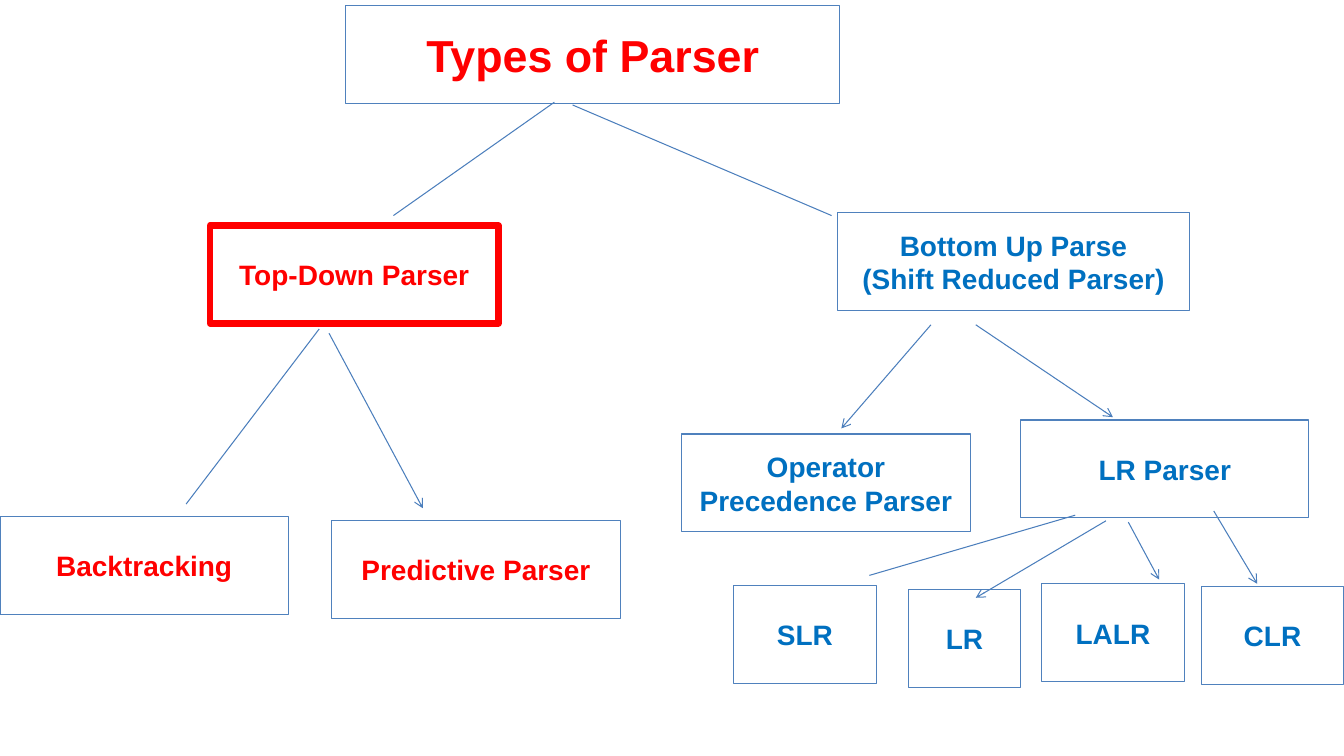
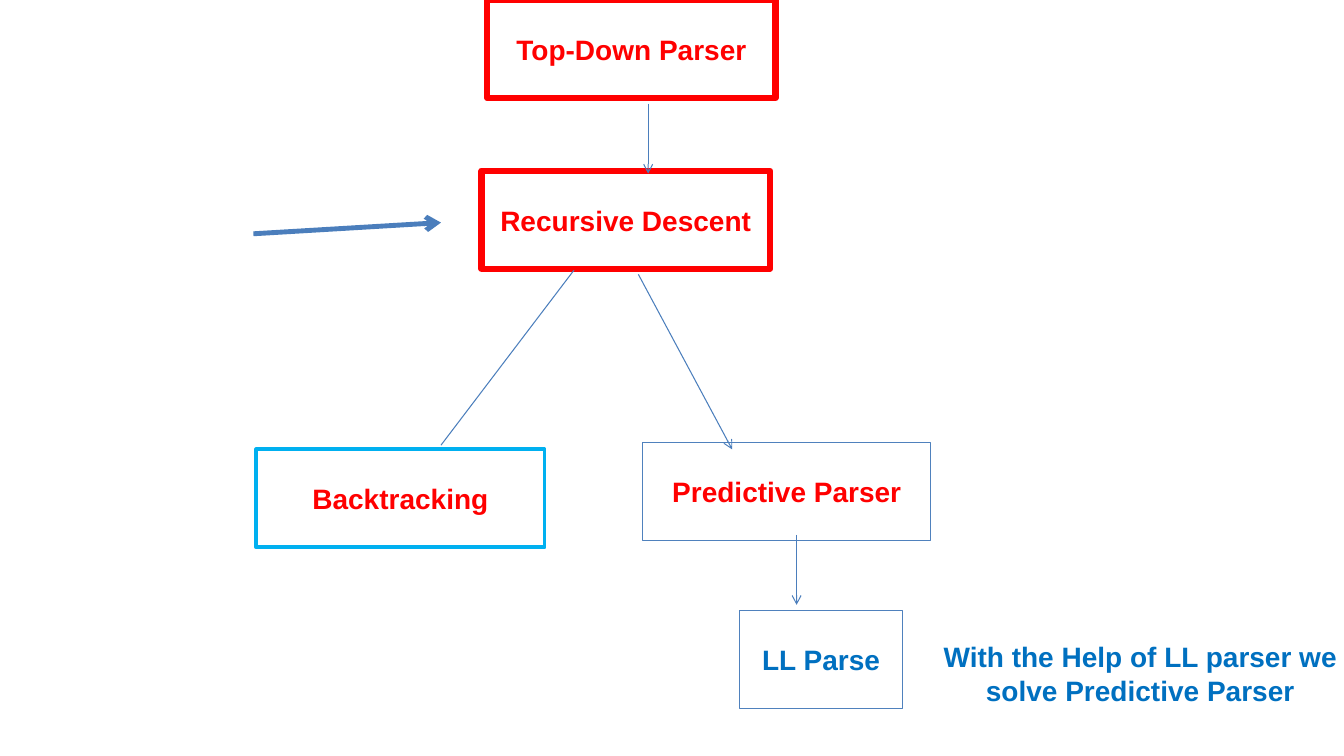
from lxml.etree import SubElement
from pptx import Presentation
from pptx.dml.color import RGBColor
from pptx.enum.shapes import MSO_CONNECTOR, MSO_SHAPE
from pptx.enum.text import MSO_ANCHOR, PP_ALIGN
from pptx.oxml.ns import qn
from pptx.util import Pt

RED = RGBColor(0xFF, 0x00, 0x00)
BLUE = RGBColor(0x00, 0x70, 0xC0)
SKY = RGBColor(0x00, 0xB0, 0xF0)
BORDER = RGBColor(0x4F, 0x81, 0xBD)
LINK = RGBColor(0x4B, 0x7E, 0xBC)
FONT = "Arial"
BOX_W, BOX_H, LEAF_W = 206, 70, 102
THIN = (BORDER, 0.75)
CURRENT = (RED, 4.5)
NEXT = (SKY, 2.75)

SLIDES = [
    {
        "boxes": [
            (["Types of Parser"], 247, 4, 353, RED, THIN, 32),
            (["Top-Down Parser"], 150, 161, BOX_W, RED, CURRENT),
            (["Bottom Up Parse", "(Shift Reduced Parser)"], 598, 152, 252, BLUE, THIN),
            (["Backtracking"], 0, 369, BOX_W, RED, THIN),
            (["Predictive Parser"], 237, 372, BOX_W, RED, THIN),
            (["Operator Precedence Parser"], 487, 310, BOX_W, BLUE, THIN),
            (["LR Parser"], 729, 300, BOX_W, BLUE, THIN),
            (["SLR"], 524, 418, LEAF_W, BLUE, THIN),
            (["LR"], 649, 421, 80, BLUE, THIN),
            (["LALR"], 744, 417, LEAF_W, BLUE, THIN),
            (["CLR"], 858, 419, LEAF_W, BLUE, THIN),
        ],
        "lines": [
            (396, 73, 281, 154),
            (409, 75, 594, 154),
            (228, 235, 133, 360),
            (768, 368, 621, 411),
        ],
        "arrows": [
            (235, 238, 302, 363),
            (665, 232, 601, 306),
            (697, 232, 795, 298),
            (790, 372, 697, 427),
            (806, 373, 828, 414),
            (867, 365, 898, 417),
        ],
    },
    {
        "boxes": [
            (["Top-Down Parser"], 348, 0, BOX_W, RED, CURRENT),
            (["Recursive Descent"], 344, 122, BOX_W, RED, CURRENT),
            (["Backtracking"], 183, 321, BOX_W, RED, NEXT),
            (["Predictive Parser"], 459, 316, BOX_W, RED, THIN),
            (["LL Parse"], 528, 436, 117, BLUE, THIN),
            (["With the Help of LL parser we solve Predictive Parser"],
             652, 446, 325, BLUE, None),
        ],
        "lines": [(410, 193, 315, 318)],
        "arrows": [
            (456, 196, 523, 321),
            (463, 74, 463, 124),
            (569, 382, 569, 432),
            (181, 167, 315, 159, 3.5),
        ],
    },
]


def add_box(s, lines, x, y, w, color, border, size=20):
    place = Pt(x), Pt(y), Pt(w), Pt(BOX_H)
    if border:
        sp = s.shapes.add_shape(MSO_SHAPE.RECTANGLE, *place)
        sp.shadow.inherit = False
        sp.fill.background()
        sp.line.color.rgb = border[0]
        sp.line.width = Pt(border[1])
    else:
        sp = s.shapes.add_textbox(*place)
    tf = sp.text_frame
    tf.word_wrap = True
    tf.vertical_anchor = MSO_ANCHOR.MIDDLE
    for i, line in enumerate(lines):
        p = tf.add_paragraph() if i else tf.paragraphs[0]
        p.alignment = PP_ALIGN.CENTER
        r = p.add_run()
        r.text = line
        r.font.name = FONT
        r.font.size = Pt(size)
        r.font.bold = True
        r.font.color.rgb = color


def add_link(s, x1, y1, x2, y2, width=0.75, arrow=False):
    cx = s.shapes.add_connector(
        MSO_CONNECTOR.STRAIGHT, Pt(x1), Pt(y1), Pt(x2), Pt(y2))
    cx.line.color.rgb = LINK
    cx.line.width = Pt(width)
    if arrow:
        SubElement(cx.line._get_or_add_ln(), qn("a:tailEnd"), type="arrow")
    SubElement(cx._element.spPr, qn("a:effectLst"))


def main():
    prs = Presentation()
    prs.slide_width, prs.slide_height = Pt(960), Pt(540)
    for tree in SLIDES:
        s = prs.slides.add_slide(prs.slide_layouts[6])
        for box in tree["boxes"]:
            add_box(s, *box)
        for line in tree["lines"]:
            add_link(s, *line)
        for arrow in tree["arrows"]:
            add_link(s, *arrow, arrow=True)
    prs.save("out.pptx")


if __name__ == "__main__":
    main()
